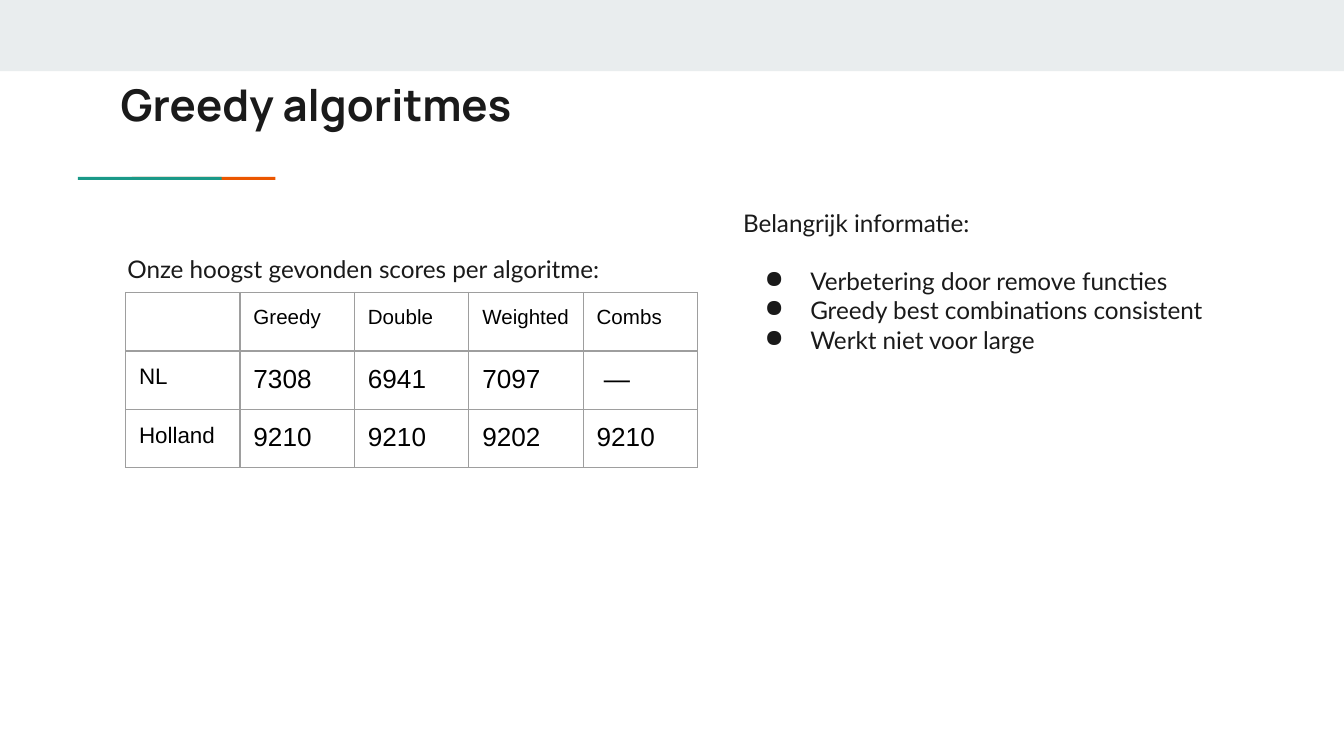
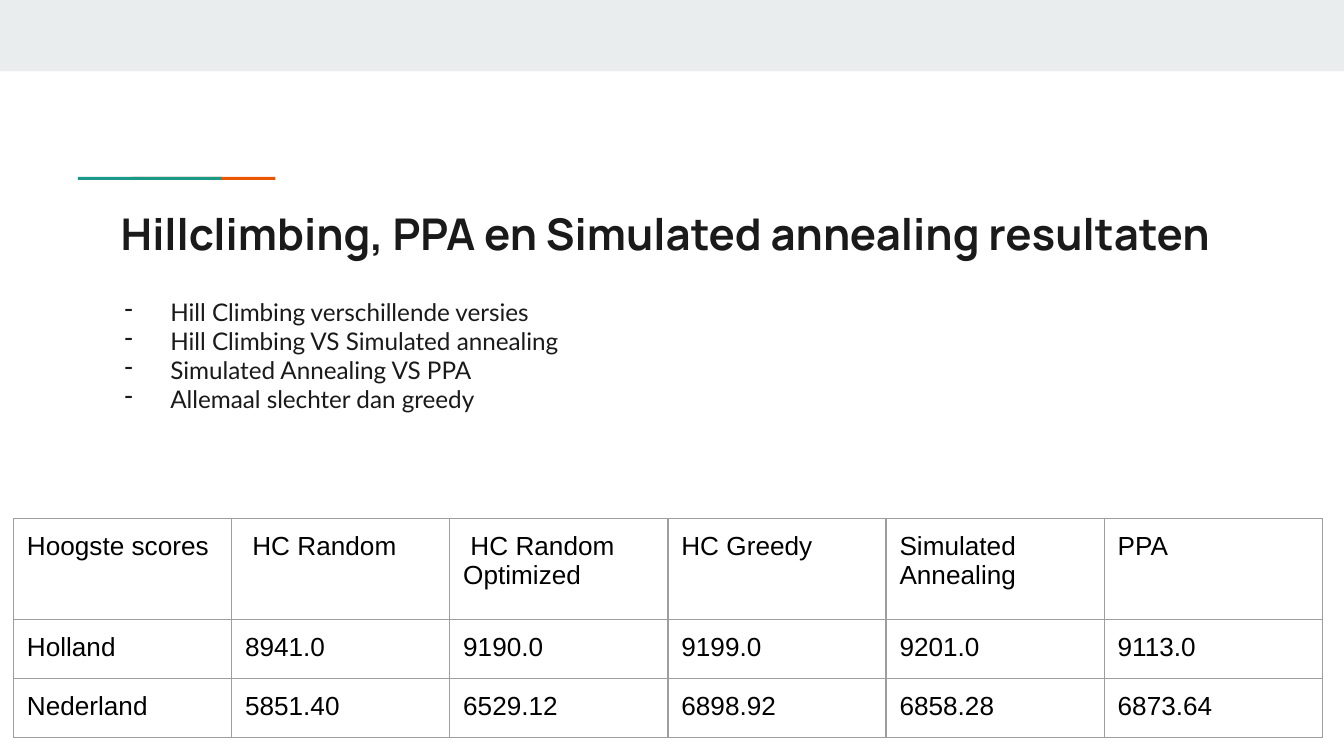
import dataclasses

import pptx
import pptx.dml.color
import pptx.enum.shapes
import pptx.oxml
import pptx.oxml.ns
import pptx.util
from lxml import etree

Pt = pptx.util.Pt


@dataclasses.dataclass(frozen=True)
class Theme:
    ink: str = "1A1A1A"
    table_ink: str = "000000"
    band: str = "E9EDEE"
    green: str = "1A9988"
    orange: str = "EB5600"
    border: str = "9E9E9E"
    title_font: str = "Manrope"
    body_font: str = "Lato"
    table_font: str = "Arial"
    title_size: float = 23.4
    body_size: float = 13
    header_size: float = 11
    label_size: float = 12
    value_size: float = 14
    inset: float = 7.2


class Deck:
    """Draws styled elements on the current slide."""

    def __init__(self, theme):
        self.theme = theme
        self.presentation = pptx.Presentation()
        self.presentation.slide_width = Pt(720)
        self.presentation.slide_height = Pt(405)
        self.slide = None

    def add_slide(self, title, title_top):
        layout = self.presentation.slide_layouts[6]
        self.slide = self.presentation.slides.add_slide(layout)
        self.add_bar(0, 0, 720, 38.2, self.theme.band)
        self.add_bar(70.6, 94.8, 77, 1.6, self.theme.orange)
        self.add_bar(41.8, 94.8, 77, 1.6, self.theme.green)
        paragraph = self.add_text([title], 57.6, title_top, 605.5, 42.5)[0]
        self.style(paragraph, self.theme.title_font, self.theme.title_size, self.theme.ink, True)

    def add_bar(self, left, top, width, height, color):
        shape = self.slide.shapes.add_shape(
            pptx.enum.shapes.MSO_SHAPE.RECTANGLE, Pt(left), Pt(top), Pt(width), Pt(height))
        shape.shadow.inherit = False
        shape.fill.solid()
        shape.fill.fore_color.rgb = pptx.dml.color.RGBColor.from_string(color)
        shape.line.fill.background()

    def style(self, paragraph, font, size, color, bold=False):
        paragraph.font.name = font
        paragraph.font.size = Pt(size)
        paragraph.font.bold = bold
        paragraph.font.color.rgb = pptx.dml.color.RGBColor.from_string(color)

    def set_margins(self, holder):
        for side in ("left", "top", "right", "bottom"):
            setattr(holder, f"margin_{side}", Pt(self.theme.inset))

    def add_text(self, lines, left, top, width, height):
        frame = self.slide.shapes.add_textbox(Pt(left), Pt(top), Pt(width), Pt(height)).text_frame
        frame.word_wrap = True
        self.set_margins(frame)
        frame.text = "\n".join(lines)
        for paragraph in frame.paragraphs:
            self.style(paragraph, self.theme.body_font, self.theme.body_size, self.theme.ink)
        return frame.paragraphs

    def add_bullets(self, paragraphs, character):
        for paragraph in paragraphs:
            properties = paragraph.font._element.getparent()
            properties.set("marL", str(Pt(36)))
            properties.set("indent", str(Pt(-24.5)))
            color = pptx.oxml.parse_xml(
                f'<a:buClr {pptx.oxml.ns.nsdecls("a")}><a:srgbClr val="{self.theme.ink}"/></a:buClr>')
            bullet = etree.Element(pptx.oxml.ns.qn("a:buChar"), char=character)
            for position, element in enumerate((color, bullet)):
                properties.insert(position, element)

    def add_table(self, rows, left, top, column_width, row_heights, size_of):
        columns = len(rows[0])
        table = self.slide.shapes.add_table(
            len(rows), columns, Pt(left), Pt(top),
            Pt(column_width * columns), Pt(sum(row_heights))).table
        table.first_row = table.horz_banding = False
        for column in table.columns:
            column.width = Pt(column_width)
        for row_index, (values, height) in enumerate(zip(rows, row_heights)):
            table.rows[row_index].height = Pt(height)
            for column_index, value in enumerate(values):
                self.fill_cell(table.cell(row_index, column_index), value,
                               size_of(row_index, column_index))

    def fill_cell(self, cell, value, size):
        self.set_margins(cell)
        cell.text = value
        for paragraph in cell.text_frame.paragraphs:
            self.style(paragraph, self.theme.table_font, size, self.theme.table_ink)
        properties = cell._tc.get_or_add_tcPr()
        for side in "LRTB":
            properties.append(pptx.oxml.parse_xml(
                f'<a:ln{side} {pptx.oxml.ns.nsdecls("a")} w="{Pt(0.75)}"><a:solidFill>'
                f'<a:srgbClr val="{self.theme.border}"/></a:solidFill></a:ln{side}>'))
        cell.fill.background()


def add_greedy_slide(deck):
    theme = deck.theme
    deck.add_slide("Greedy algoritmes", 34.6)
    caption = deck.add_text(
        ["Onze hoogst gevonden scores per algoritme:"], 61.2, 126.7, 293, 30.2)[0]
    caption.line_spacing = 1.15
    caption.space_after = Pt(12)
    heading, *points = deck.add_text(
        ["Belangrijk informatie:", "Verbetering door remove functies",
         "Greedy best combinations consistent", "Werkt niet voor large"],
        391, 104.4, 293, 234.7)
    heading.space_after = Pt(15.6)
    deck.add_bullets(points, "●")

    def size_of(row, column):
        if row == 0 and column > 0:
            return theme.header_size
        return theme.label_size if row > 0 and column == 0 else theme.value_size

    deck.add_table(
        [["", "Greedy", "Double", "Weighted", "Combs"],
         ["NL", "7308", "6941", "7097", " —"],
         ["Holland", "9210", "9210", "9202", "9210"]],
        67.3, 156.7, 61.3, [31.3] * 3, size_of)


def add_results_slide(deck):
    deck.add_slide("Hillclimbing, PPA en Simulated annealing resultaten", 103.7)
    deck.add_table(
        [["Hoogste scores", " HC Random", " HC Random Optimized", "HC Greedy",
          "Simulated\nAnnealing", "PPA"],
         ["Holland", "8941.0", "9190.0", "9199.0", "9201.0", "9113.0"],
         ["Nederland", "5851.40", "6529.12", "6898.92", "6858.28", "6873.64"]],
        7.2, 277.7, 116.9, [54, 31.8, 31.8], lambda row, column: deck.theme.value_size)
    points = deck.add_text(
        ["Hill Climbing verschillende versies", "Hill Climbing VS Simulated annealing",
         "Simulated Annealing VS PPA", "Allemaal slechter dan greedy"],
        48.2, 152, 582.5, 115.2)
    deck.add_bullets(points, "-")


def main():
    deck = Deck(Theme())
    add_greedy_slide(deck)
    add_results_slide(deck)
    deck.presentation.save("out.pptx")


if __name__ == "__main__":
    main()
